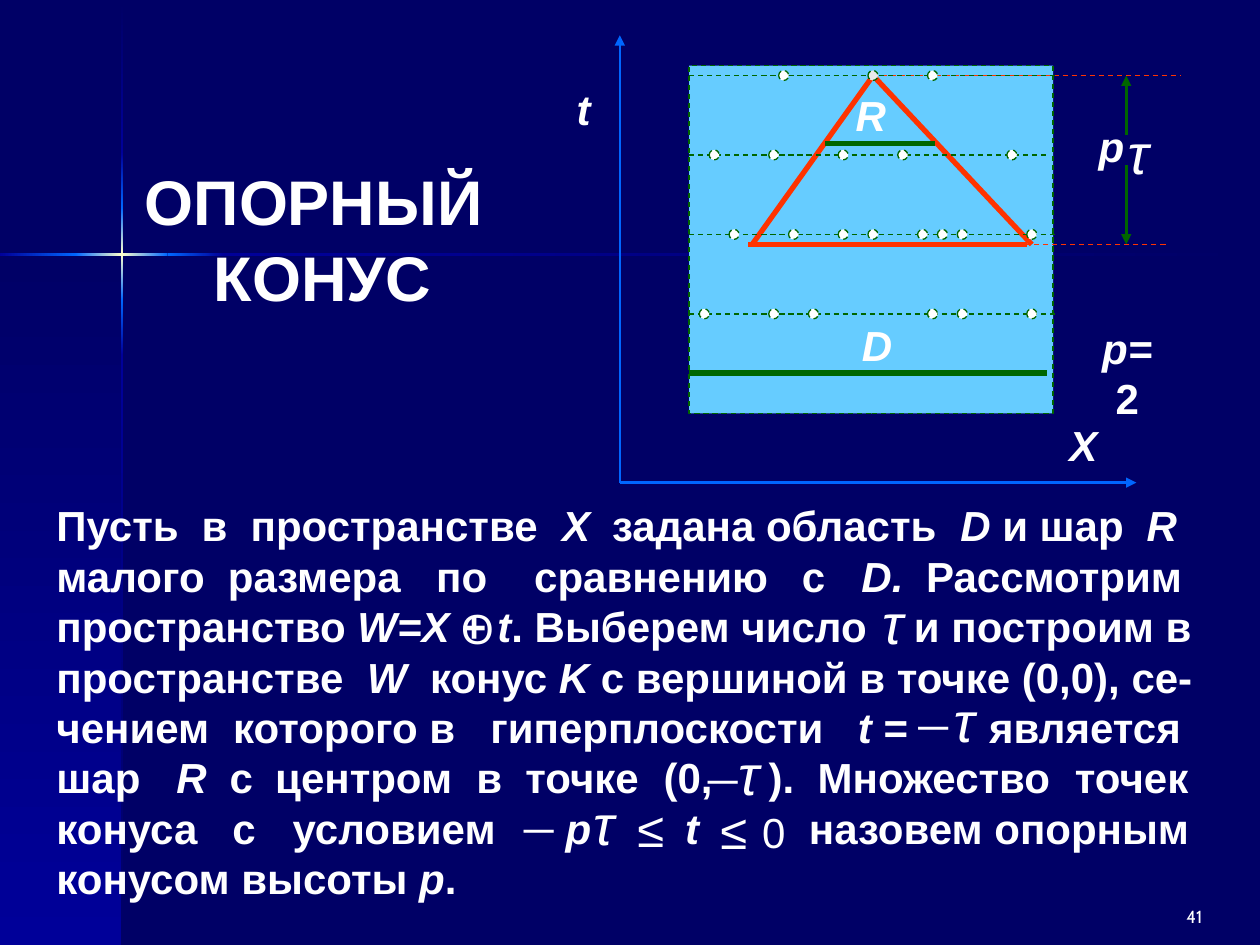
from lxml.etree import SubElement as Sub
from pptx import Presentation
from pptx.dml.color import RGBColor
from pptx.enum.dml import MSO_LINE as Dash
from pptx.enum.shapes import MSO_CONNECTOR as Conn, MSO_SHAPE as Form
from pptx.enum.text import MSO_ANCHOR as Anchor, MSO_AUTO_SIZE as Auto, PP_ALIGN as Align
from pptx.oxml.ns import qn
from pptx.util import Pt

WHITE, GREEN, RED, BLUE = "FFFFFF", "006600", "FF3300", "0066FF"
NIGHT, NAVY, CREAM, SKY = "000066", "000099", "FFFFCC", "66CCFF"
BOLD = dict(name="Arial", size=Pt(24), bold=True)
VAR = dict(BOLD, italic=True)
SIGN = dict(name="Arial", size=Pt(24))
TAU = dict(name="Arial", size=Pt(32), italic=True)
REL = dict(name="Arial", size=Pt(28))

LINES = [
    ("Пусть|в|пространстве|*X*|задана область|*D* и шар|*R*",
     [83, 111, 289, 317.5, 516.5, 623]),
    ("малого|размера|по|сравнению|с|*D.*|Рассмотрим",
     [98, 217, 273, 426, 460, 497]),
    ("пространство *W=X + t*. Выберем число|и построим в", [490]),
    ("пространстве|*W*|конус *K* с вершиной в точке (0,0), се-", [177.5, 213.5]),
    ("чением|которого в|гиперплоскости|*t* =|является", [101, 248, 458, 533]),
    ("шар|*R*|с|центром|в|точке|(0,|).|Множество|точек",
     [68.5, 99, 125, 240, 268, 347, 407, 435, 582]),
    ("конуса|c|условием|назовем опорным", [100.5, 135, 430]),
    ("конусом высоты *p*.", []),
]
SIGNS = [
    ("О", 230.4, 58.4, 34.6, SIGN), ("τ", 470.9, 50.4, 28, TAU),
    ("─", 492.5, 113.8, 31, SIGN), ("τ", 512.6, 106.6, 26, TAU),
    ("─", 372.2, 144.8, 31, SIGN), ("τ", 389.5, 136.8, 26, TAU),
    ("─", 267.1, 172.8, 31, SIGN), ("p", 290.9, 172.8, 29, VAR),
    ("τ", 306.7, 165.6, 26, TAU), ("≤", 332, 170.6, 29.5, REL),
    ("t", 359.3, 172.8, 22, VAR), ("≤", 379.4, 171.4, 29.5, REL),
    ("0", 403.2, 175, 27, SIGN),
]
NAMES = [
    ("X", 249.8, 216, 30), ("t", -31.7, 23.8, 22), ("p", 266.4, 45.4, 29),
    ("D", 131, 159, 32), ("R", 127.4, 27.4, 32), ("*p=*2", 262, 160.6, 56),
]
DOTS = [
    [8, 23, 17], [1, 7, 14, 20, 31],
    [3, 9, 14, 17, 22, 24, 26, 33], [0, 7, 11, 23, 26, 33],
]


def tint(code):
    return RGBColor.from_string(code)


def style(font, form):
    for key, val in form.items():
        setattr(font, key, val)
    font.color.rgb = tint(WHITE)


def write(para, text, form):
    for num, part in enumerate(text.split("*")):
        if part:
            run = para.add_run()
            run.text = part
            style(run.font, dict(form, italic=True) if num % 2 else form)


def label(slide, text, x, y, w, h, form, align=Align.CENTER):
    box = slide.shapes.add_textbox(Pt(x), Pt(y), Pt(w), Pt(h))
    para = box.text_frame.paragraphs[0]
    para.alignment = align
    write(para, text, form)


def shape(slide, kind, x, y, w, h, fill=None):
    item = slide.shapes.add_shape(kind, Pt(x), Pt(y), Pt(w), Pt(h))
    item.shadow.inherit = False
    if fill:
        item.fill.solid()
        item.fill.fore_color.rgb = tint(fill)
        pen(item.line, GREEN, 0.75, True)
    else:
        item.line.fill.background()
    return item


def pen(line, color, width, dash=False):
    line.color.rgb = tint(color)
    line.width = Pt(width)
    if dash:
        line.dash_style = Dash.DASH


def link(slide, x1, y1, x2, y2, color, width, dash=False, arrow=False):
    item = slide.shapes.add_connector(Conn.STRAIGHT, Pt(x1), Pt(y1), Pt(x2), Pt(y2))
    pen(item.line, color, width, dash)
    if arrow:
        Sub(item.line._get_or_add_ln(), qn("a:tailEnd"), type="triangle")
    Sub(item._element.spPr, qn("a:effectLst"))


def blend(slide, x, y, w, h, colors, down):
    item = shape(slide, Form.RECTANGLE, x, y, w, h)
    item.fill.gradient()
    item.fill.gradient_angle = 270 if down else 0
    stops = item._element.spPr.find(qn("a:gradFill")).find(qn("a:gsLst"))
    for old in list(stops):
        stops.remove(old)
    for num, color in enumerate(colors):
        stop = Sub(stops, qn("a:gs"), pos=str(num * 100000 // (len(colors) - 1)))
        Sub(stop, qn("a:srgbClr"), val=color)


def decor(slide, x, y, w, h):
    blend(slide, x, y + 145.4, 69.8, h - 145.4, [NIGHT, NAVY], True)
    glow = [BLUE, CREAM, BLUE]
    for top, end, colors in [
        (0.7, 87.1, [NIGHT, NAVY]), (203, h, [NAVY, NIGHT]),
        (171.4, 203, [BLUE, NAVY]), (87.1, 118.8, [NAVY, BLUE]),
        (118.8, 171.4, glow),
    ]:
        blend(slide, x + 69.1, y + top, 1.4, end - top, colors, True)
    for left, end, colors in [
        (127.4, w, [NAVY, NIGHT]), (0, 43.9, [NAVY, BLUE]),
        (95.8, 127.4, [BLUE, NAVY]), (43.2, 95.8, glow),
    ]:
        blend(slide, x + left, y + 144.7, end - left, 1.4, colors, False)


def title(slide, x, y, w, h):
    item = slide.shapes.title
    item.left, item.top, item.width, item.height = Pt(x), Pt(y), Pt(w), Pt(h)
    frame = item.text_frame
    frame.auto_size = Auto.NONE
    frame.vertical_anchor = Anchor.TOP
    frame.text = "ОПОРНЫЙ \nКОНУС"
    for para in frame.paragraphs:
        para.alignment = Align.CENTER
        style(para.runs[0].font, dict(BOLD, size=Pt(36)))


def body(slide, x, y, w, h):
    box = slide.shapes.add_textbox(Pt(x), Pt(y), Pt(w), Pt(h))
    frame = box.text_frame
    frame.word_wrap = True
    for num, (text, stops) in enumerate(LINES):
        para = frame.add_paragraph() if num else frame.paragraphs[0]
        if stops:
            tabs = Sub(para._p.get_or_add_pPr(), qn("a:tabLst"))
            for stop in stops:
                Sub(tabs, qn("a:tab"), pos=str(Pt(stop)), algn="l")
        para.line_spacing = Pt(28.8)
        write(para, text.replace("|", "\t"), BOLD)
    for text, left, top, width, form in SIGNS:
        label(slide, text, x + left, y + top, width, form["size"].pt * 1.2 + 7.2, form)


def graph(slide, x, y, w, h):
    def draw(x1, y1, x2, y2, *pens, **more):
        link(slide, x + x1, y + y1, x + x2, y + y2, *pens, **more)

    top, gap, base, tip = 23, 45.4, 119.5, 144.7
    left, right, mark = 39.6, 249.8, 289.4
    draw(0, h, 0, 0, BLUE, 1.5, arrow=True)
    draw(0, h, w, h, BLUE, 1.5, arrow=True)
    draw(mark, 56.9, mark, top, GREEN, 1.5, arrow=True)
    draw(mark, 74.2, mark, base, GREEN, 1.5, arrow=True)
    shape(slide, Form.RECTANGLE, x + left, y + 17.4, 208, 198.7, SKY)
    draw(tip, top, 320.4, top, RED, 0.75, True)
    draw(311.8, base, 79.2, base, RED, 0.75, True)
    draw(tip, top, 75.6, base, RED, 3)
    draw(tip, top, 235.4, base, RED, 3)
    draw(73.4, base, 232.6, base, RED, 3)
    draw(117.4, 61.9, 180, 61.9, GREEN, 3)
    draw(left, 193, 244, 193, GREEN, 3)
    for row, cols in enumerate(DOTS):
        level = top + row * gap
        draw(left, level, 244 if row == 1 else right, level, GREEN, 0.75, True)
        for col in cols:
            fill = "EAEAEA" if (row, col) == (0, 17) else WHITE
            shape(slide, Form.OVAL, x + 45.4 + col * 5.67, y + level - 2.9, 5.7, 5.7, fill)
    for text, dx, dy, width in NAMES:
        form = BOLD if "*" in text else VAR
        label(slide, text, x + dx, y + dy, width, 36, form)
    label(slide, "τ", x + 283, y + 43.9, 26, 45.6, TAU)


def main():
    deck = Presentation()
    deck.slide_width, deck.slide_height = Pt(720), Pt(540)
    slide = deck.slides.add_slide(deck.slide_layouts[5])
    slide.background.fill.solid()
    slide.background.fill.fore_color.rgb = tint(NIGHT)
    decor(slide, 0, 0, 720, 540)
    title(slide, 48.2, 89.3, 272.2, 93.6)
    body(slide, 25.2, 282.2, 674.6, 237.6)
    graph(slide, 354.2, 20.2, 295.2, 255.6)
    label(slide, "41", 527.8, 514, 166.3, 17.3, dict(name="Cabin", size=Pt(10)), Align.RIGHT)


    deck.save("out.pptx")


if __name__ == "__main__":
    main()
